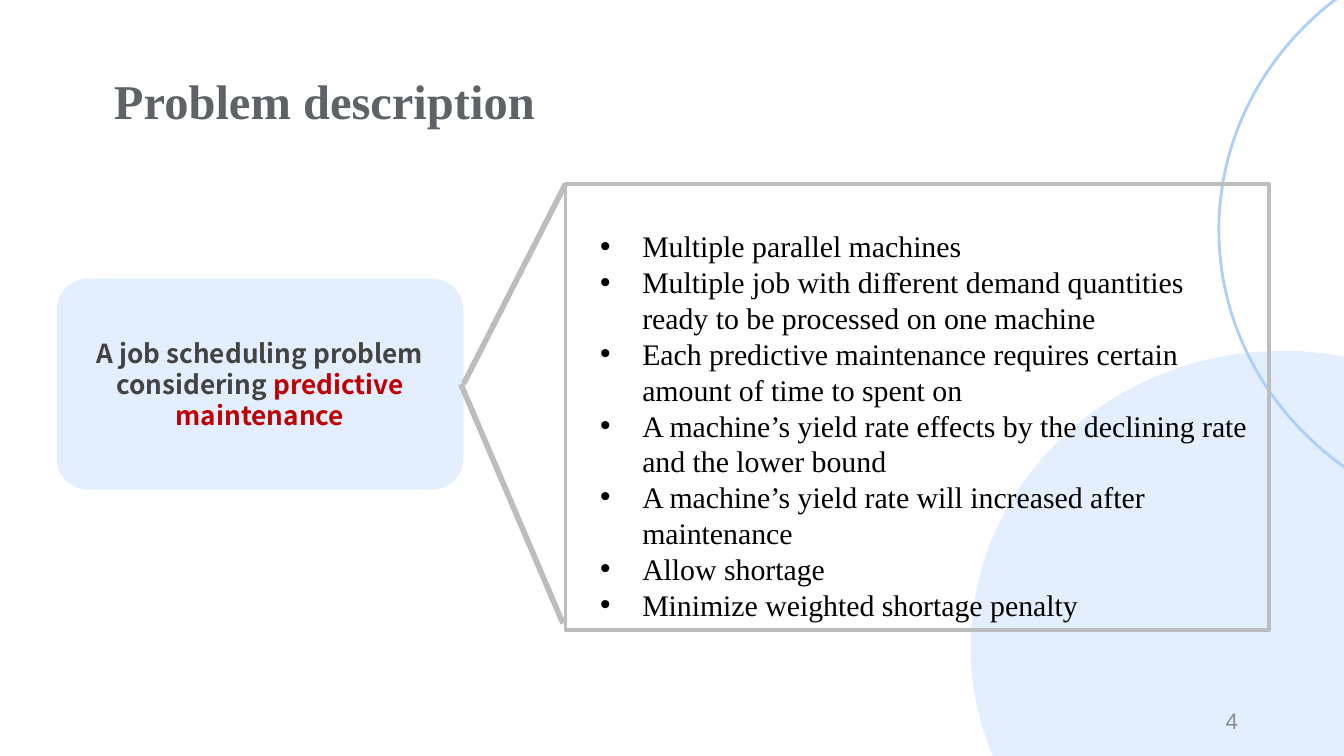
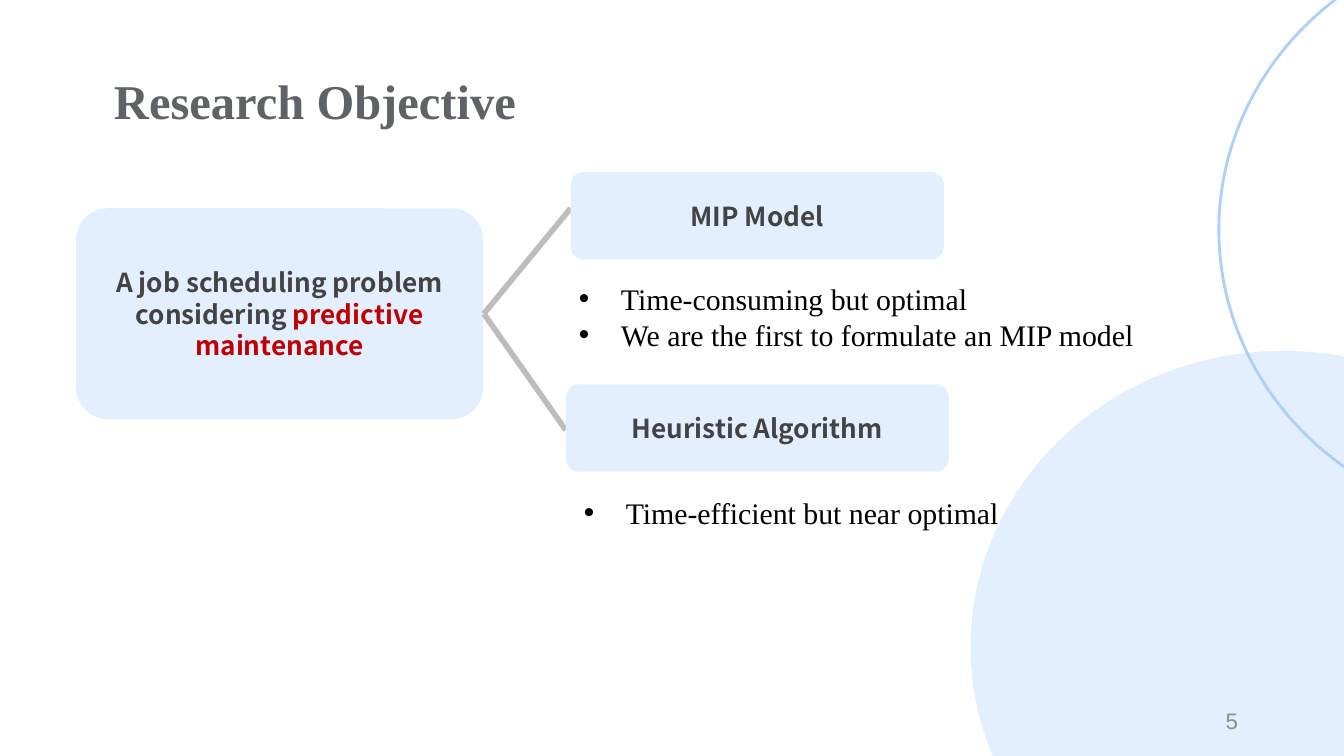
from dataclasses import dataclass

from lxml import etree
from pptx import Presentation
from pptx.dml.color import RGBColor
from pptx.enum.shapes import MSO_CONNECTOR, MSO_SHAPE
from pptx.enum.text import MSO_ANCHOR, PP_ALIGN
from pptx.oxml.ns import qn
from pptx.util import Pt

OVAL, RECT, ROUND = MSO_SHAPE.OVAL, MSO_SHAPE.RECTANGLE, MSO_SHAPE.ROUNDED_RECTANGLE
STRAIGHT = MSO_CONNECTOR.STRAIGHT
TOP, MIDDLE, BOTTOM = MSO_ANCHOR.TOP, MSO_ANCHOR.MIDDLE, MSO_ANCHOR.BOTTOM
LEFT, CENTER, RIGHT, JUSTIFY = PP_ALIGN.LEFT, PP_ALIGN.CENTER, PP_ALIGN.RIGHT, PP_ALIGN.JUSTIFY


@dataclass(frozen=True)
class Theme:
    pale: str = "E3EFFF"
    ring: str = "ACCFFB"
    rule: str = "BDBDBD"
    title: str = "5F6368"
    label: str = "434343"
    accent: str = "C00000"
    body: str = "000000"
    number: str = "8C8C8C"
    serif: str = "Times New Roman"
    sans: str = "Noto Sans CJK SC"
    plain: str = "Arial"
    title_size: float = 26
    body_size: float = 16
    label_size: float = 14
    number_size: float = 12
    body_leading: float = 19.2
    label_leading: float = 16.8


T = Theme()
CARD_SIZE = (218, 113)
INDENT = 22.5


def rgb(value):
    return RGBColor.from_string(value)


def add_shape(s, kind, box, fill=None, line=None, width=1):
    sp = s.shapes.add_shape(kind, *map(Pt, box))
    sp.shadow.inherit = False
    if fill:
        sp.fill.solid()
        sp.fill.fore_color.rgb = rgb(fill)
    else:
        sp.fill.background()
    if line:
        sp.line.color.rgb = rgb(line)
        sp.line.width = Pt(width)
    else:
        sp.line.fill.background()
    return sp


def add_text_box(s, box, anchor=TOP):
    tf = s.shapes.add_textbox(*map(Pt, box)).text_frame
    tf.word_wrap = True
    tf.vertical_anchor = anchor
    return tf


def style(p, font, size, color, bold=False, align=LEFT):
    p.alignment = align
    p.font.name, p.font.size, p.font.bold = font, Pt(size), bold
    p.font.color.rgb = rgb(color)


def connect(s, start, end):
    line = s.shapes.add_connector(STRAIGHT, *map(Pt, (*start, *end)))
    line.line.color.rgb = rgb(T.rule)
    line.line.width = Pt(3)
    etree.SubElement(line._element.spPr, qn("a:effectLst"))


def add_bullet(p):
    pPr = p._p.get_or_add_pPr()
    pPr.set("marL", str(Pt(INDENT)))
    pPr.set("indent", str(-Pt(INDENT)))
    color = etree.Element(qn("a:buClr"))
    etree.SubElement(color, qn("a:srgbClr"), val=T.body)
    font = etree.Element(qn("a:buFont"), typeface=T.plain)
    char = etree.Element(qn("a:buChar"), char="•")
    # Bullet settings go after the spacing and before the default run style
    at = pPr.index(pPr.find(qn("a:defRPr")))
    pPr[at:at] = [color, font, char]


def bullet_list(s, box, items, align=LEFT):
    tf = add_text_box(s, box)
    for i, item in enumerate(items):
        p = tf.paragraphs[0] if i == 0 else tf.add_paragraph()
        p.text = item
        style(p, T.serif, T.body_size, T.body, align=align)
        p.line_spacing = Pt(T.body_leading)
        add_bullet(p)


def label_card(s, box, *parts):
    """Rounded card with a centred label; parts are (text, color) pairs."""
    sp = add_shape(s, ROUND, box, fill=T.pale)
    sp.adjustments[0] = 0.15
    tf = sp.text_frame
    tf.word_wrap = True
    tf.vertical_anchor = MIDDLE
    p = tf.paragraphs[0]
    style(p, T.sans, T.label_size, T.label, bold=True, align=CENTER)
    for text, color in parts:
        r = p.add_run()
        r.text = text
        r.font.color.rgb = rgb(color)
    return p


def problem_card(s, x, y):
    """Draws the problem statement and returns the middle of its right edge."""
    w, h = CARD_SIZE
    p = label_card(s, (x, y, w, h),
                   ("A job scheduling problem considering ", T.label),
                   ("predictive maintenance", T.accent))
    p.line_spacing = Pt(T.label_leading)
    return x + w, y + h / 2


def base_slide(prs, title, number):
    s = prs.slides.add_slide(prs.slide_layouts[6])
    # Corner circles
    add_shape(s, OVAL, (520, 188, 335, 317), fill=T.pale)
    add_shape(s, OVAL, (653, -35.3, 335, 317), line=T.ring, width=1.5)
    # Title
    tf = add_text_box(s, (54, 34.5, 546, 42), BOTTOM)
    tf.margin_top = tf.margin_bottom = tf.margin_left = tf.margin_right = Pt(7.2)
    tf.text = title
    style(tf.paragraphs[0], T.serif, T.title_size, T.title, bold=True)
    # Page number
    tf = add_text_box(s, (508.3, 375.1, 162, 21.6), MIDDLE)
    tf.text = str(number)
    style(tf.paragraphs[0], T.plain, T.number_size, T.number, align=RIGHT)
    return s


def description_panel(s, box, items):
    x, y, w, h = box
    bullet_list(s, (x + 11.5, y + 20.2, w - 11, h - 1.5), items)
    add_shape(s, RECT, box, line=T.rule, width=2)


def objective_branch(s, start, box, name, items, list_box, joint):
    """Card with its list; list_box is an offset from the card, then a size."""
    x, y, _, _ = box
    dx, dy, w, h = list_box
    connect(s, start, (x, y + joint))
    label_card(s, box, (name, T.label))
    bullet_list(s, (x + dx, y + dy, w, h), items, JUSTIFY)


def description_slide(prs):
    s = base_slide(prs, "Problem description", 4)
    x, y = problem_card(s, 30.3, 149.3)
    panel = (303, 98.5, 377, 239)
    description_panel(s, panel, [
        "Multiple parallel machines",
        "Multiple job with diﬀerent demand quantities ready to be processed on one machine",
        "Each predictive maintenance requires certain amount of time to spent on",
        "A machine’s yield rate effects by the declining rate and the lower bound",
        "A machine’s yield rate will increased after maintenance",
        "Allow shortage",
        "Minimize weighted shortage penalty",
    ])
    # Lines that open out to the panel
    connect(s, (x, y), panel[:2])
    connect(s, (x - 1.4, y), (panel[0] - 1.4, 334))


def objective_slide(prs):
    s = base_slide(prs, "Research Objective", 5)
    x, y = problem_card(s, 40.8, 111.6)
    start = (x + 0.4, y)
    objective_branch(s, start, (305.7, 92.2, 200, 46.8), "MIP Model",
                     ["Time-consuming but optimal",
                      "We are the first to formulate an MIP model"],
                     (-2.6, 54.7, 345.6, 63.4), 19.4)
    objective_branch(s, start, (303.1, 205.9, 205.2, 46.8), "Heuristic Algorithm",
                     ["Time-efficient but near optimal"],
                     (2.6, 55.5, 345.6, 26.6), 24.5)


def main():
    prs = Presentation()
    prs.slide_width, prs.slide_height = Pt(720), Pt(405)
    description_slide(prs)
    objective_slide(prs)
    prs.save("out.pptx")


if __name__ == "__main__":
    main()
